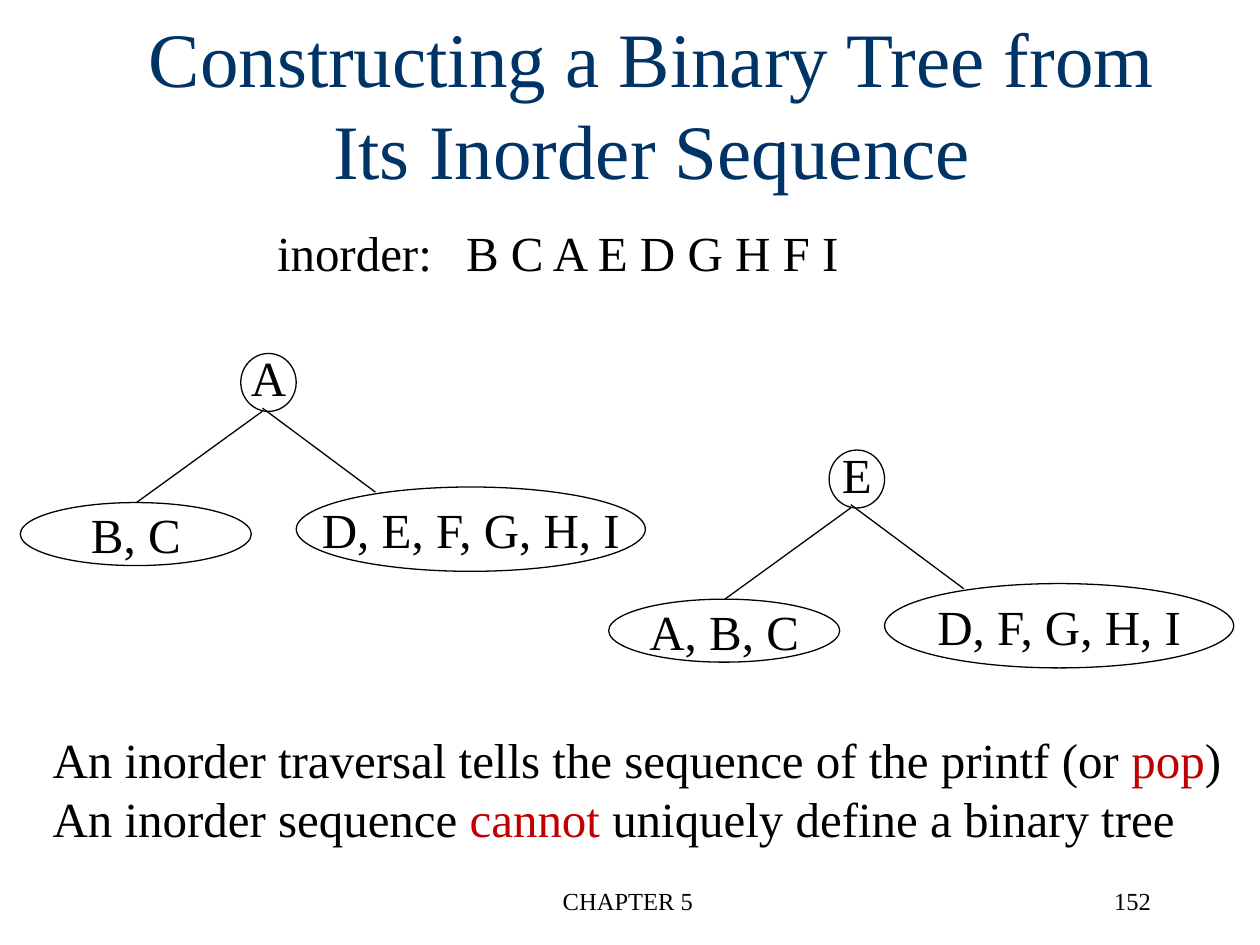
from dataclasses import dataclass

from lxml import etree
from pptx import Presentation
from pptx.dml.color import RGBColor
from pptx.enum.shapes import MSO_CONNECTOR, MSO_SHAPE
from pptx.enum.text import MSO_ANCHOR, PP_ALIGN
from pptx.oxml.ns import qn
from pptx.util import Pt

LEFT, CENTER, RIGHT = PP_ALIGN.LEFT, PP_ALIGN.CENTER, PP_ALIGN.RIGHT
TOP, MIDDLE = MSO_ANCHOR.TOP, MSO_ANCHOR.MIDDLE
ELLIPSE, STRAIGHT = MSO_SHAPE.OVAL, MSO_CONNECTOR.STRAIGHT
TITLE_ONLY = 5


@dataclass(frozen=True)
class Theme:
    font: str = "Times New Roman"
    ink: str = "000000"
    heading: str = "003366"
    accent: str = "C00000"
    title_size: float = 44
    body_size: float = 28
    footer_size: float = 14
    line_width: float = 0.75


THEME = Theme()


def write(frame, text, size=THEME.body_size, color=THEME.ink, align=LEFT,
          anchor=TOP, wrap=True, accents=()):
    """Fill a frame, one paragraph per line; words in accents get the accent colour."""
    frame.word_wrap = wrap
    frame.vertical_anchor = anchor
    for index, line in enumerate(text.split("\n")):
        para = frame.paragraphs[0] if index == 0 else frame.add_paragraph()
        para.alignment = align
        pieces = [line]
        for word in accents:
            if word in line:
                before, after = line.split(word, 1)
                pieces = [before, word, after]
        for piece in pieces:
            span = para.add_run()
            span.text = piece
            span.font.name = THEME.font
            span.font.size = Pt(size)
            tone = THEME.accent if piece in accents else color
            span.font.color.rgb = RGBColor.from_string(tone)


class Page:
    def __init__(self, deck, theme):
        self.theme = theme
        self.slide = deck.slides.add_slide(deck.slide_layouts[TITLE_ONLY])

    def title(self, text, left, top, width, height):
        box = self.slide.shapes.title
        box.left, box.top, box.width, box.height = map(Pt, (left, top, width, height))
        write(box.text_frame, text, size=self.theme.title_size,
              color=self.theme.heading, align=CENTER)

    def text(self, text, left, top, width, height, **style):
        box = self.slide.shapes.add_textbox(*map(Pt, (left, top, width, height)))
        write(box.text_frame, text, **style)

    def node(self, group, text, left, top, width, height, lift=0):
        """Outlined ellipse; lift raises its label above the centre."""
        oval = group.shapes.add_shape(ELLIPSE, *map(Pt, (left, top, width, height)))
        oval.shadow.inherit = False
        oval.fill.background()
        oval.line.color.rgb = RGBColor.from_string(self.theme.ink)
        oval.line.width = Pt(self.theme.line_width)
        frame = oval.text_frame
        frame.margin_left = frame.margin_right = frame.margin_top = 0
        frame.margin_bottom = Pt(2 * lift)
        write(frame, text, align=CENTER, anchor=MIDDLE, wrap=False)

    def edge(self, group, *ends):
        line = group.shapes.add_connector(STRAIGHT, *map(Pt, ends))
        line.line.color.rgb = RGBColor.from_string(self.theme.ink)
        line.line.width = Pt(self.theme.line_width)
        etree.SubElement(line._element.spPr, qn("a:effectLst"))

    def tree(self, left, top, root, left_set, right_set):
        """Root with its two subtrees, placed from the root's corner."""
        group = self.slide.shapes.add_group_shape()
        self.node(group, root, left, top, 31.7, 33.1, lift=3)
        self.node(group, left_set, left - 126, top + 85.2, 132, 36)
        self.node(group, right_set, left + 31.7, top + 76.3, 199.5, 48.2)
        fork = left + 12.4
        self.edge(group, fork, top + 33, fork - 72, top + 85.2)
        self.edge(group, fork, top + 31.2, fork + 64.5, top + 79.2)


def main():
    deck = Presentation()
    deck.slide_width, deck.slide_height = Pt(720), Pt(540)
    page = Page(deck, THEME)

    # Title and sequence
    page.title("Constructing a Binary Tree from Its Inorder Sequence", 52.5, 2.2, 640, 90)
    page.text("inorder:\tB C A E D G H F I", 151.2, 123.8, 375, 41, wrap=False)

    # Two trees that share the inorder sequence
    page.tree(137.6, 202, "A", "B, C", "D, E, F, G, H, I")
    page.tree(473.8, 257.2, "E", "A, B, C", "D, F, G, H, I")

    # Conclusions
    page.text("An inorder traversal tells the sequence of the printf (or pop)\n"
              "An inorder sequence cannot uniquely define a binary tree",
              23, 413.3, 689, 75, wrap=False, accents=("pop", "cannot"))

    # Footer
    footer = {"size": THEME.footer_size}
    page.text("CHAPTER 5", 244.8, 502.5, 228, 36, align=CENTER, **footer)
    page.text("152", 514.8, 502.5, 150, 36, align=RIGHT, **footer)

    deck.save("out.pptx")


if __name__ == "__main__":
    main()
